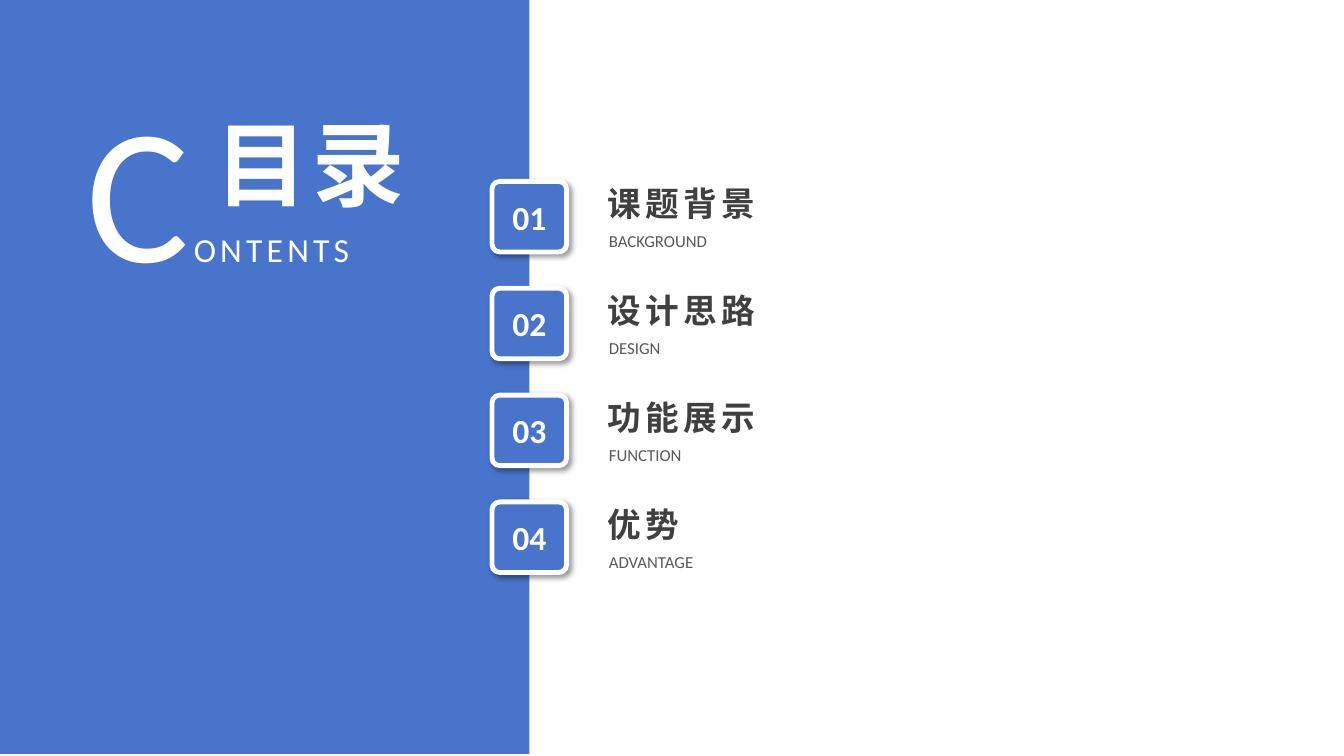
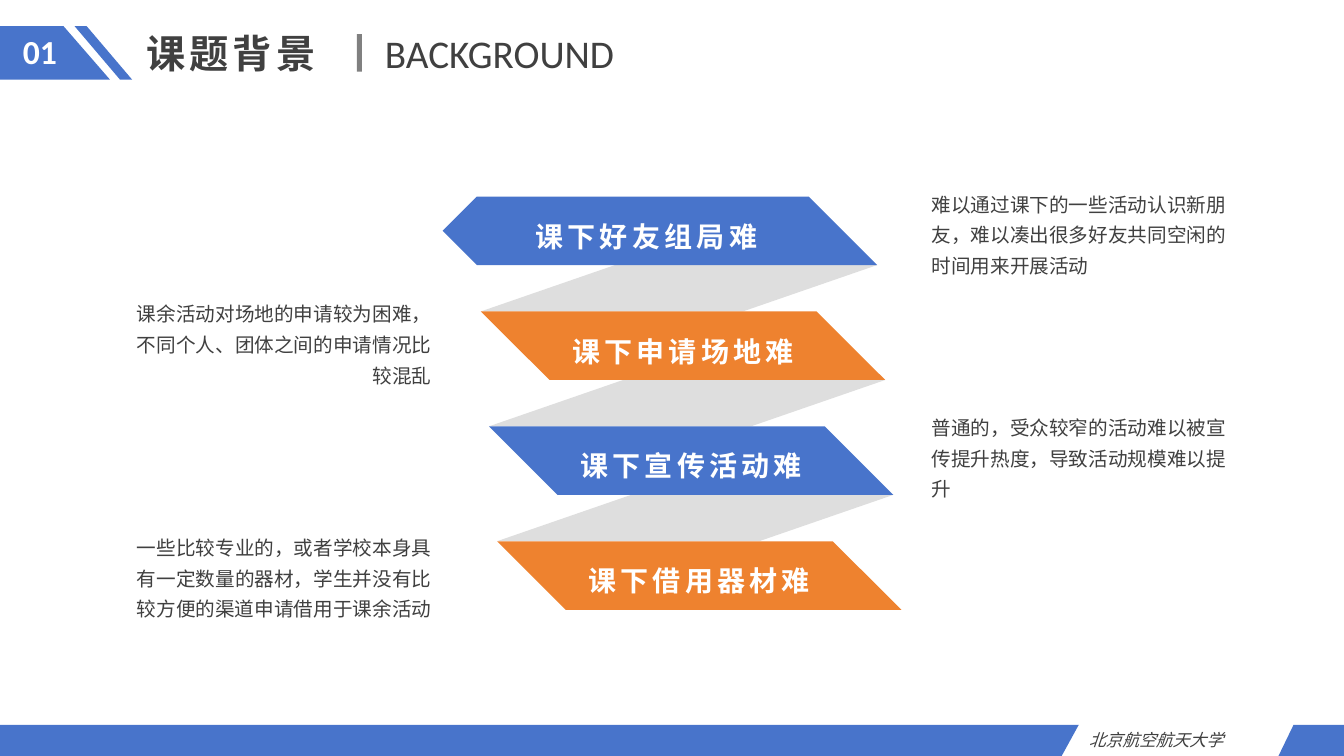
"""Build the contents slide and the background slide of a project talk."""
from lxml.etree import SubElement
from pptx import Presentation
from pptx.dml.color import RGBColor
from pptx.enum.shapes import MSO_SHAPE
from pptx.enum.text import MSO_ANCHOR, MSO_AUTO_SIZE, PP_ALIGN
from pptx.oxml.ns import qn
from pptx.util import Inches, Pt

BLUE, ORANGE, WHITE = "4874CB", "EE822F", "FFFFFF"
DARK, MID, GREY, FOLD = "404040", "595959", "808080", "DEDEDE"
LEFT, CENTER, RIGHT, JUSTIFY = (
    PP_ALIGN.LEFT, PP_ALIGN.CENTER, PP_ALIGN.RIGHT, PP_ALIGN.JUSTIFY)

SECTIONS = [
    ("课题背景", "BACKGROUND"),
    ("设计思路", "DESIGN"),
    ("功能展示", "FUNCTION"),
    ("优势", "ADVANTAGE"),
]
SECTION_TOP, SECTION_STEP = 1.8, 1.06

RIBBONS = ["课下好友组局难", "课下申请场地难", "课下宣传活动难", "课下借用器材难"]
RIBBON_X, RIBBON_Y, SHIFT, STEP = 4.69, 1.95, 0.08, 1.14
RIBBON_W, RIBBON_H, FOLD_RUN = 3.33, 0.68, 1.33

NOTES = [
    (9.14, 1.79, LEFT, "Calibri", "难以通过课下的一些活动认识新朋友，难以凑出很多好友共同空闲的时间用来开展活动"),
    (1.2, 2.88, RIGHT, "Calibri", "课余活动对场地的申请较为困难，不同个人、团体之间的申请情况比较混乱"),
    (9.14, 4.01, LEFT, "Arial", "普通的，受众较窄的活动难以被宣传提升热度，导致活动规模难以提升"),
    (1.2, 5.2, RIGHT, "Calibri", "一些比较专业的，或者学校本身具有一定数量的器材，学生并没有比较方便的渠道申请借用于课余活动"),
]
UNIVERSITY = "北京航空航天大学"


def rgb(value):
    return RGBColor.from_string(value)


def write(shape, runs, size, color, bold=False, italic=False, align=LEFT,
          font="Calibri", spacing=0, line=None, wrap=True):
    """Fill a shape with one paragraph; runs is a string or (text, size) pairs."""
    tf = shape.text_frame
    tf.word_wrap = wrap
    p = tf.paragraphs[0]
    p.alignment = align
    if line:
        p.line_spacing = line
    f = p.font
    f.name, f.size, f.bold, f.italic = font, Pt(size), bold, italic
    f.color.rgb = rgb(color)
    if spacing:
        p._p.get_or_add_pPr().get_or_add_defRPr().set("spc", str(spacing * 100))
    for text, run_size in [(runs, None)] if isinstance(runs, str) else runs:
        r = p.add_run()
        r.text = text
        if run_size:
            r.font.size = Pt(run_size)


def add_text(s, box, runs, size, color, **style):
    write(s.shapes.add_textbox(*map(Inches, box)), runs, size, color, **style)


def set_title(s, box, text, size, color):
    sp = s.shapes.title
    sp.left, sp.top, sp.width, sp.height = map(Inches, box)
    sp.text_frame.vertical_anchor = MSO_ANCHOR.TOP
    sp.text_frame.auto_size = MSO_AUTO_SIZE.NONE
    write(sp, text, size, color, bold=True, spacing=3)


def paint(sp, color):
    sp.shadow.inherit = False
    sp.fill.solid()
    sp.fill.fore_color.rgb = rgb(color)
    sp.line.fill.background()
    return sp


def add_box(s, kind, box, color):
    return paint(s.shapes.add_shape(kind, *map(Inches, box)), color)


def add_polygon(s, points, color):
    start, *rest = [(Inches(x), Inches(y)) for x, y in points]
    builder = s.shapes.build_freeform(*start)
    builder.add_line_segments(rest, close=True)
    return paint(builder.convert_to_shape(), color)


def set_insets(sp, left, right):
    tf = sp.text_frame
    tf.margin_left, tf.margin_right = Inches(left), Inches(right)
    tf.vertical_anchor = MSO_ANCHOR.MIDDLE


def add_shadow(sp):
    effects = sp._element.spPr.find(qn("a:effectLst"))
    shadow = SubElement(effects, qn("a:outerShdw"), blurRad=str(Pt(4)),
                        dist=str(Pt(3)), dir="2700000", algn="tl", rotWithShape="0")
    color = SubElement(shadow, qn("a:srgbClr"), val="000000")
    SubElement(color, qn("a:alpha"), val="40000")


def add_contents(s):
    panel = add_box(s, MSO_SHAPE.RECTANGLE, (0, -0.02, 5.25, 7.5), BLUE)
    s.shapes.title.element.addprevious(panel.element)
    add_text(s, (0.76, 0.64, 3.68, 2.42), [("C", 138), ("ONTENTS", 24)], 24, WHITE,
             align=JUSTIFY, spacing=3)
    set_title(s, (2.04, 1.01, 2.44, 1.21), "目录", 66, WHITE)
    for i, (name, english) in enumerate(SECTIONS):
        y = SECTION_TOP + i * SECTION_STEP
        badge = add_box(s, MSO_SHAPE.ROUNDED_RECTANGLE, (4.88, y, 0.74, 0.7), BLUE)
        badge.adjustments[0] = 0.11
        badge.line.color.rgb = rgb(WHITE)
        badge.line.width = Pt(3.5)
        add_shadow(badge)
        set_insets(badge, 0, 0)
        write(badge, f"{i + 1:02}", 24, WHITE, bold=True, align=CENTER)
        add_text(s, (5.93, y - 0.03, 3.05, 0.5), name, 24, DARK, bold=True, spacing=3)
        add_text(s, (5.94, y + 0.44, 3.05, 0.3), english, 12, MID)


def add_frame(s, number):
    """Add the numbered heading and the footer band of a section slide."""
    name, english = SECTIONS[number - 1]
    set_title(s, (1.35, 0.24, 1.96, 0.57), name, 28, DARK)
    add_box(s, MSO_SHAPE.RECTANGLE, (3.54, 0.34, 0.05, 0.37), GREY)
    add_text(s, (3.72, 0.24, 2.47, 0.57), english, 28, DARK, wrap=False)
    for points in (
        [(0, 0.26), (0.63, 0.26), (1.09, 0.79), (0, 0.79)],
        [(0.74, 0.26), (0.86, 0.26), (1.31, 0.79), (1.19, 0.79)],
        [(0, 7.19), (10.7, 7.19), (10.53, 7.5), (0, 7.5)],
        [(12.83, 7.19), (13.33, 7.19), (13.33, 7.5), (12.68, 7.5)],
    ):
        add_polygon(s, points, BLUE)
    add_text(s, (0, 0.26, 0.79, 0.5), f"{number:02}", 24, WHITE, bold=True, align=CENTER)
    add_text(s, (10.7, 7.19, 1.98, 0.3), UNIVERSITY, 12, DARK, italic=True, align=JUSTIFY)


def add_ribbons(s):
    for i, text in enumerate(RIBBONS):
        x, y = RIBBON_X + i * SHIFT, RIBBON_Y + i * STEP
        bottom, right = y + RIBBON_H, x + RIBBON_W + RIBBON_H
        if i < len(RIBBONS) - 1:
            next_x, next_y = x + SHIFT, y + STEP
            add_polygon(s, [(next_x + FOLD_RUN, bottom), (right, bottom),
                            (right - FOLD_RUN, next_y), (next_x, next_y)], FOLD)
        if i:
            left_edge = [(x + RIBBON_H, bottom), (x, y)]
            insets = 0.47, 0.47
        else:
            left_edge = [(4.73, bottom), (4.39, y + RIBBON_H / 2), (4.73, y)]
            insets = 0.24, 0.51
        points = left_edge + [(x + RIBBON_W, y), (right, bottom)]
        ribbon = add_polygon(s, points, ORANGE if i % 2 else BLUE)
        set_insets(ribbon, *insets)
        write(ribbon, text, 20, WHITE, bold=True, align=CENTER, font="Arial",
              spacing=3, line=1.3)


def main():
    prs = Presentation()
    prs.slide_width, prs.slide_height = Inches(13.33), Inches(7.5)
    layout = prs.slide_layouts[5]
    add_contents(prs.slides.add_slide(layout))
    s = prs.slides.add_slide(layout)
    add_frame(s, 1)
    add_ribbons(s)
    for x, y, align, font, text in NOTES:
        add_text(s, (x, y, 3.18, 1.02), text, 14, DARK, align=align, font=font, line=1.3)
    prs.save("out.pptx")


if __name__ == "__main__":
    main()
